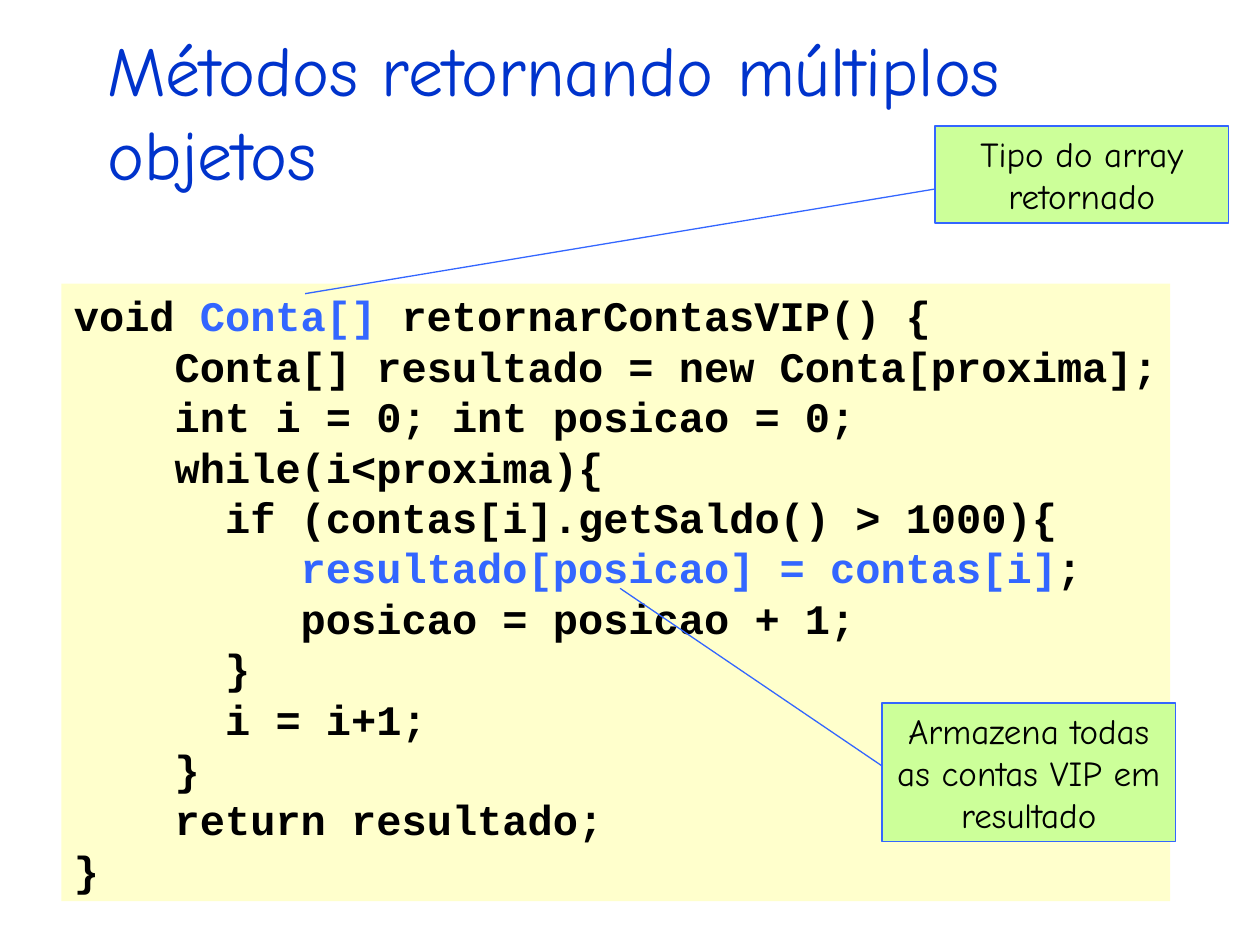
"""Builds a slide on Java methods that return several objects, with code and two callouts."""
from dataclasses import dataclass

from lxml.etree import SubElement
from pptx import Presentation
from pptx.dml.color import RGBColor as Color
from pptx.enum.shapes import MSO_CONNECTOR as Connector, MSO_SHAPE as Shape
from pptx.enum.text import MSO_ANCHOR as Anchor, MSO_AUTO_SIZE as AutoSize, PP_ALIGN as Align
from pptx.oxml.ns import qn
from pptx.util import Cm, Pt


@dataclass(frozen=True)
class Theme:
    text_font: str = "Comic Neue"
    code_font: str = "Courier New"
    title_size: int = 40
    code_size: int = 24
    callout_size: int = 20
    line_width: float = 0.75
    title: str = "0033CC"
    ink: str = "000000"
    accent: str = "3366FF"
    code_fill: str = "FFFFCC"
    callout_fill: str = "CCFF99"


THEME = Theme()
TITLE = "Métodos retornando múltiplos objetos"
TITLE_AREA = (1.91, 0.64, 21.59, 3.18)
CODE_AREA = (1.24, 5.72, 22.35, 12.45)
CODE = """\
void Conta[] retornarContasVIP() {
    Conta[] resultado = new Conta[proxima];
    int i = 0; int posicao = 0;
    while(i<proxima){
      if (contas[i].getSaldo() > 1000){
         resultado[posicao] = contas[i];
         posicao = posicao + 1;
      }
      i = i+1;
    }
    return resultado;
}""".split("\n")
HIGHLIGHTS = {0: "Conta[]", 5: "resultado[posicao] = contas[i]"}
CALLOUTS = [
    {"text": "Tipo do array retornado", "area": (18.85, 2.54, 5.92, 1.96),
     "start": (18.85, 3.81), "target": (6.15, 5.92)},
    {"text": "Armazena todas as contas VIP em resultado", "area": (17.78, 14.17, 5.92, 2.79),
     "start": (17.78, 15.44), "target": (12.5, 11.86)},
]


def lengths(values):
    return [Cm(value) for value in values]


def set_font(font, name, size, color=None, bold=False):
    font.name, font.size, font.bold = name, Pt(size), bold
    if color:
        font.color.rgb = Color.from_string(color)


def set_line(line):
    line.color.rgb = Color.from_string(THEME.accent)
    line.width = Pt(THEME.line_width)


def add_box(page, area, fill, wrap=True):
    box = page.shapes.add_shape(Shape.RECTANGLE, *lengths(area))
    box.shadow.inherit = False
    box.fill.solid()
    box.fill.fore_color.rgb = Color.from_string(fill)
    box.line.fill.background()
    frame = box.text_frame
    frame.word_wrap = wrap
    frame.vertical_anchor = Anchor.TOP
    frame.auto_size = AutoSize.SHAPE_TO_FIT_TEXT
    return box


def add_title(page):
    title = page.shapes.title
    title.left, title.top, title.width, title.height = lengths(TITLE_AREA)
    frame = title.text_frame
    frame.text = TITLE
    frame.word_wrap = True
    frame.auto_size = AutoSize.NONE
    frame.vertical_anchor = Anchor.MIDDLE
    para = frame.paragraphs[0]
    para.alignment = Align.LEFT
    set_font(para.font, THEME.text_font, THEME.title_size, THEME.title)


def add_code(page):
    frame = add_box(page, CODE_AREA, THEME.code_fill, wrap=False).text_frame
    for index, line in enumerate(CODE):
        para = frame.add_paragraph() if index else frame.paragraphs[0]
        para.alignment = Align.LEFT
        set_font(para.font, THEME.code_font, THEME.code_size, bold=True)
        parts = line.partition(HIGHLIGHTS[index]) if index in HIGHLIGHTS else (line,)
        for part in parts:
            span = para.add_run()
            span.text = part
            color = THEME.accent if part == HIGHLIGHTS.get(index) else THEME.ink
            span.font.color.rgb = Color.from_string(color)


def add_callout(page, text, area, start, target):
    pointer = page.shapes.add_connector(Connector.STRAIGHT, *lengths(start + target))
    set_line(pointer.line)
    SubElement(pointer._element.spPr, qn("a:effectLst"))
    box = add_box(page, area, THEME.callout_fill)
    set_line(box.line)
    box.text_frame.text = text
    para = box.text_frame.paragraphs[0]
    para.alignment = Align.CENTER
    set_font(para.font, THEME.text_font, THEME.callout_size, THEME.ink)


def main():
    deck = Presentation()
    deck.slide_width, deck.slide_height = Cm(25.4), Cm(19.05)
    page = deck.slides.add_slide(deck.slide_layouts.get_by_name("Title Only"))
    add_title(page)
    add_code(page)
    for callout in CALLOUTS:
        add_callout(page, **callout)
    deck.save("out.pptx")


if __name__ == "__main__":
    main()
